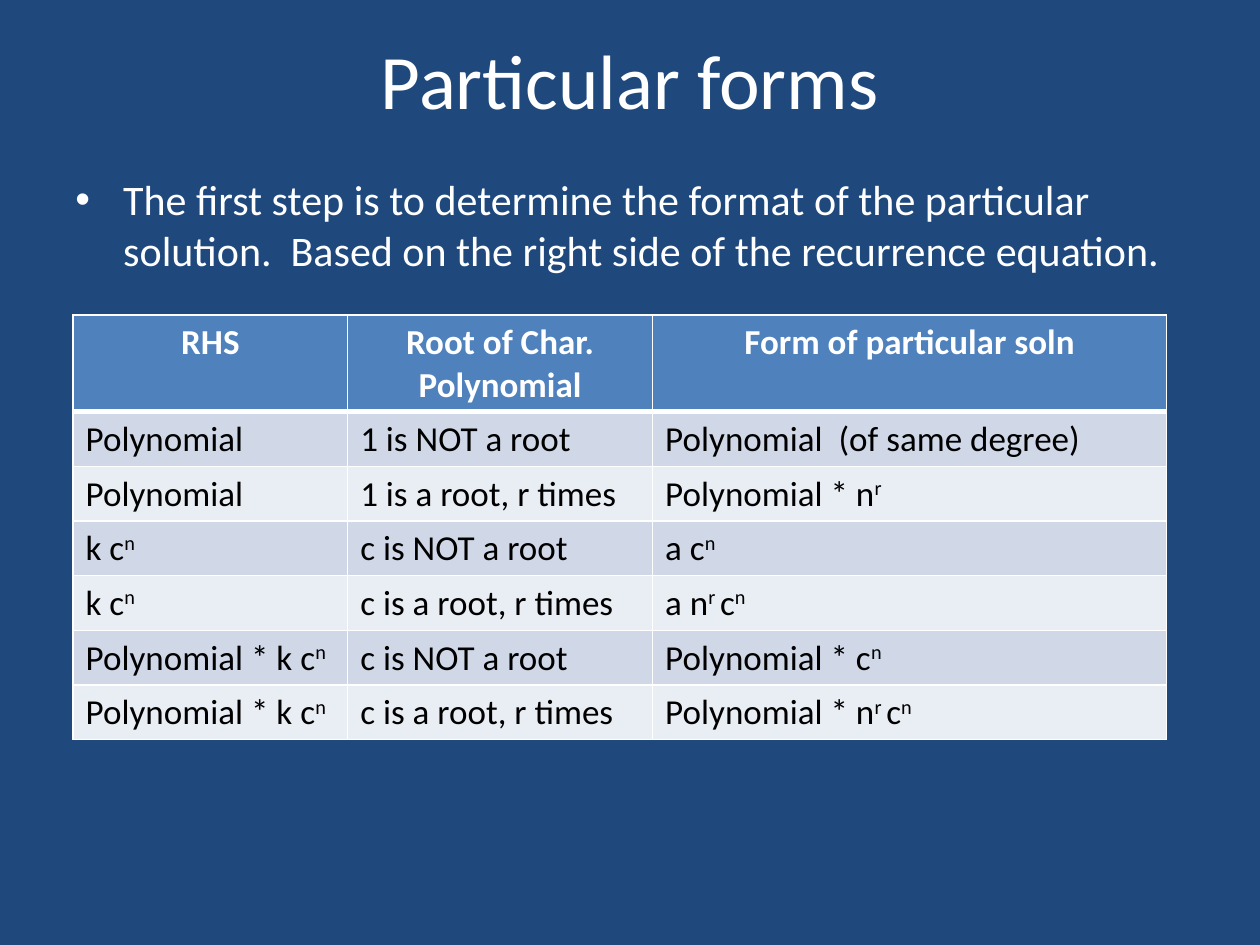
from dataclasses import dataclass

from lxml import etree
from pptx import Presentation
from pptx.dml.color import RGBColor
from pptx.enum import text
from pptx.oxml import ns
from pptx.util import Inches, Pt


@dataclass(frozen=True)
class Theme:
    font: str = "Calibri"
    background: str = "1F497D"
    light: str = "FFFFFF"
    dark: str = "000000"
    header_fill: str = "4F81BD"
    band_fills: tuple[str, str] = ("D0D8E8", "E9EDF4")
    title_size: int = 44
    body_size: int = 24
    table_size: int = 20
    thin_border: float = 1
    thick_border: float = 3


@dataclass(frozen=True)
class Box:
    left: float
    top: float
    width: float
    height: float

    def lengths(self) -> tuple[int, int, int, int]:
        return (Inches(self.left), Inches(self.top),
                Inches(self.width), Inches(self.height))


@dataclass(frozen=True)
class FormRow:
    right_side: str
    root: str
    solution: str

    def values(self) -> tuple[str, str, str]:
        return self.right_side, self.root, self.solution


THEME = Theme()
TITLE_BOX = Box(0.5, 0, 9, 1.25)
BODY_BOX = Box(0.5, 1.33, 9, 4.95)
TABLE_BOX = Box(0.58, 2.5, 8.68, 3.37)
COLUMN_WIDTHS = (2.18, 2.42, 4.08)
ROW_HEIGHT = 0.41
BULLET_INDENT = 0.38

# Text between two carets is superscript
ROWS = (
    FormRow("RHS", "Root of Char. Polynomial", "Form of particular soln"),
    FormRow("Polynomial", "1 is NOT a root", "Polynomial  (of same degree)"),
    FormRow("Polynomial", "1 is a root, r times", "Polynomial * n^r^"),
    FormRow("k c^n^", "c is NOT a root", "a c^n^"),
    FormRow("k c^n^", "c is a root, r times", "a n^r ^c^n^"),
    FormRow("Polynomial * k c^n^", "c is NOT a root", "Polynomial * c^n^"),
    FormRow("Polynomial * k c^n^", "c is a root, r times", "Polynomial * n^r ^c^n^"),
)


def style_font(font, size: int, color: str, bold: bool = False) -> None:
    font.name = THEME.font
    font.size = Pt(size)
    font.bold = bold
    font.color.rgb = RGBColor.from_string(color)


def add_text(slide, box: Box, content: str, size: int):
    text_frame = slide.shapes.add_textbox(*box.lengths()).text_frame
    text_frame.word_wrap = True
    text_frame.text = content
    paragraph = text_frame.paragraphs[0]
    style_font(paragraph.runs[0].font, size, THEME.light)
    return text_frame


def add_bullet(paragraph, indent: float) -> None:
    properties = paragraph._p.get_or_add_pPr()
    properties.set("marL", str(Inches(indent)))
    properties.set("indent", str(-Inches(indent)))
    font = etree.SubElement(properties, ns.qn("a:buFont"))
    font.set("typeface", "Arial")
    etree.SubElement(properties, ns.qn("a:buChar")).set("char", "•")


def add_border(cell, side: str, width: float) -> None:
    line = etree.SubElement(cell._tc.get_or_add_tcPr(), ns.qn(f"a:ln{side}"))
    line.set("w", str(Pt(width)))
    fill = etree.SubElement(line, ns.qn("a:solidFill"))
    etree.SubElement(fill, ns.qn("a:srgbClr")).set("val", THEME.light)


def fill_cell(cell, content: str, row: int) -> None:
    header = row == 0
    # Borders come before the fill; the line under the header is thick
    thick_side = {0: "B", 1: "T"}.get(row)
    for side in "LRTB":
        add_border(cell, side, THEME.thick_border if side == thick_side else THEME.thin_border)
    cell.fill.solid()
    color = THEME.header_fill if header else THEME.band_fills[(row - 1) % 2]
    cell.fill.fore_color.rgb = RGBColor.from_string(color)

    paragraph = cell.text_frame.paragraphs[0]
    if header:
        paragraph.alignment = text.PP_ALIGN.CENTER
    for index, part in enumerate(content.split("^")):
        if not part:
            continue
        run = paragraph.add_run()
        run.text = part
        style_font(run.font, THEME.table_size, THEME.light if header else THEME.dark, header)
        if index % 2:
            run.font._element.set("baseline", "30000")


def add_forms_table(slide) -> None:
    shape = slide.shapes.add_table(len(ROWS), len(COLUMN_WIDTHS), *TABLE_BOX.lengths())
    table = shape.table
    for column, width in zip(table.columns, COLUMN_WIDTHS):
        column.width = Inches(width)
    for row, form in enumerate(ROWS):
        table.rows[row].height = Inches(ROW_HEIGHT)
        for column, content in enumerate(form.values()):
            fill_cell(table.cell(row, column), content, row)
    shape.height = Inches(TABLE_BOX.height)


def main() -> None:
    presentation = Presentation()
    presentation.slide_width = Inches(10)
    presentation.slide_height = Inches(7.5)
    slide = presentation.slides.add_slide(presentation.slide_layouts[6])
    slide.background.fill.solid()
    slide.background.fill.fore_color.rgb = RGBColor.from_string(THEME.background)

    # Title
    title = add_text(slide, TITLE_BOX, "Particular forms", THEME.title_size)
    title.vertical_anchor = text.MSO_ANCHOR.MIDDLE
    title.paragraphs[0].alignment = text.PP_ALIGN.CENTER

    # Introduction
    body = add_text(
        slide, BODY_BOX,
        "The first step is to determine the format of the particular solution.  "
        "Based on the right side of the recurrence equation.",
        THEME.body_size)
    add_bullet(body.paragraphs[0], BULLET_INDENT)

    # Table of forms
    add_forms_table(slide)
    presentation.save("out.pptx")


if __name__ == "__main__":
    main()
